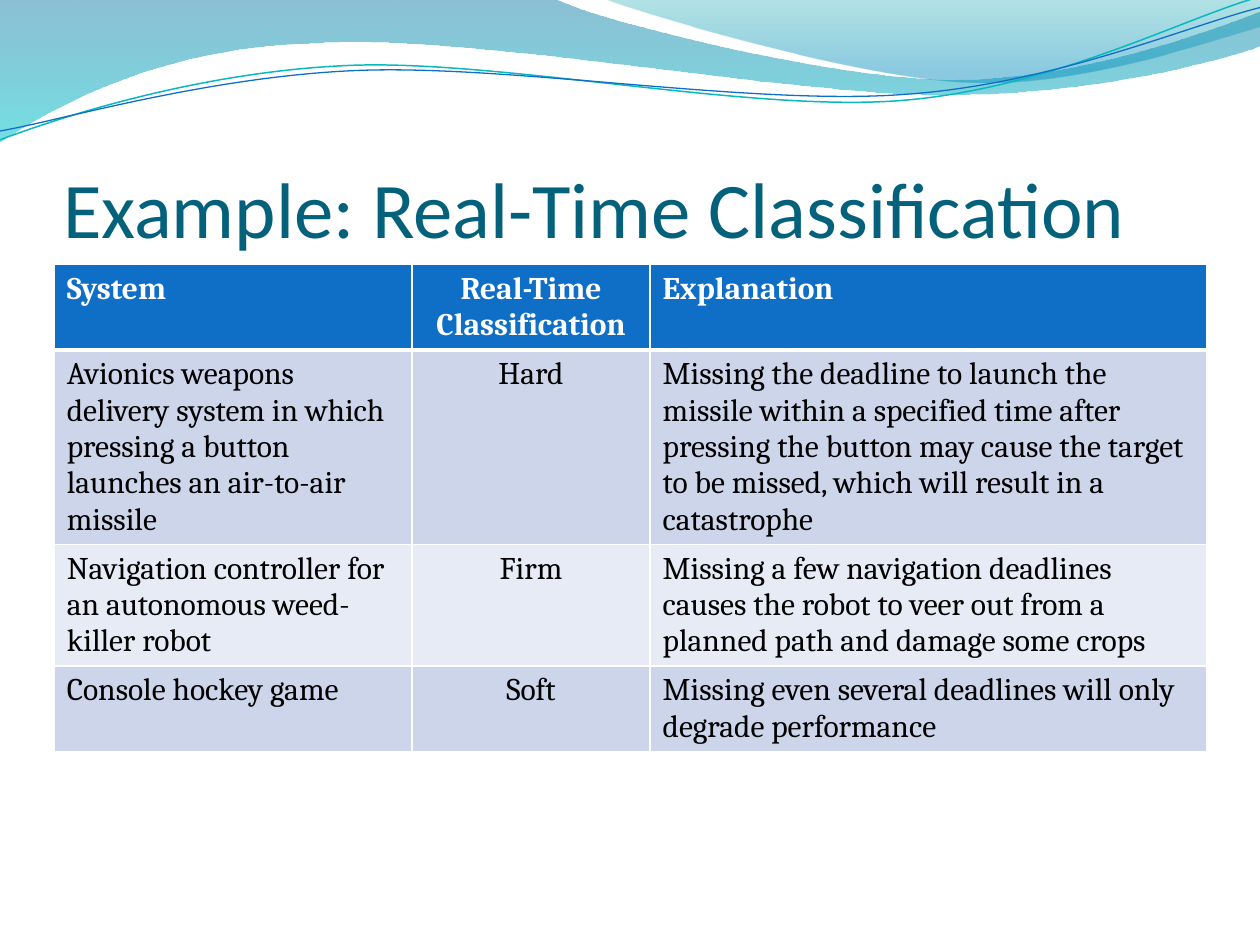
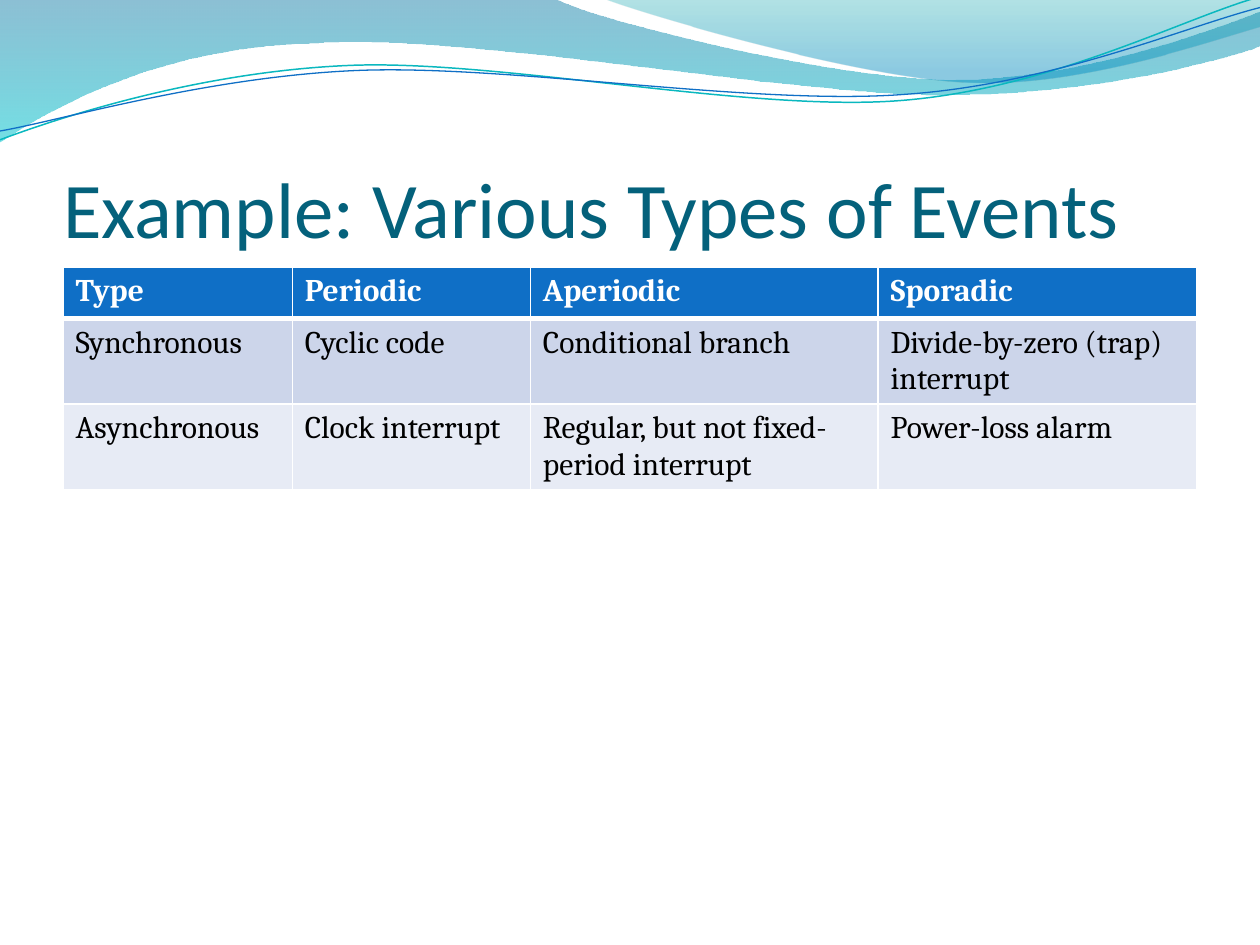
from lxml import etree
from pptx import Presentation
from pptx.dml.color import RGBColor
from pptx.enum.text import MSO_ANCHOR, MSO_AUTO_SIZE, PP_ALIGN
from pptx.oxml.ns import qn
from pptx.util import Inches, Pt

LEFT, CENTER = PP_ALIGN.LEFT, PP_ALIGN.CENTER
BOTTOM = MSO_ANCHOR.BOTTOM
NO_AUTOFIT = MSO_AUTO_SIZE.NONE

TITLE_FONT, TABLE_FONT = "Calibri", "Cambria"
TITLE_COLOR = "04617B"
BLUE, TEAL, WHITE, BLACK = "0F6FC6", "0AB8BF", "FFFFFF", "000000"
BAND_COLORS = ("CCD5EA", "E7EBF5")
TITLE_BOX = (0.5, 0.77, 9, 1.25)
ROW_HEIGHT = 0.41

WAVE_BANDS = [
    {
        "segments": [
            (0, 0), (4.4, -0.01),
            (4.76, 0.17, 6.64, 0.63, 7.58, 0.63),
            (8.53, 0.63, 9.58, 0.26, 10, 0.09),
            (10.01, 0.36),
            (9.83, 0.44, 8.7, 0.76, 7.46, 0.75),
            (6.22, 0.75, 3.82, 0.28, 2.57, 0.34),
            (1.29, 0.36, 0.46, 0.83, -0.01, 1.13),
        ],
        "stops": [(0, "0074A1", 45), (1, "00C6CF", 55)],
    },
    {
        "segments": [
            (4.79, -0.01),
            (5.09, 0.11, 6.82, 0.62, 7.69, 0.65),
            (8.56, 0.69, 9.61, 0.32, 10, 0.21),
            (10, 0),
        ],
        "stops": [(0, "00A1A9", 30), (0.8, "008BBF", 45)],
    },
]
WAVE_LINES = [
    {
        "segments": [
            (0, 1.11),
            (0.48, 0.93, 1.58, 0.57, 2.77, 0.52),
            (3.95, 0.47, 5.93, 0.89, 7.13, 0.8),
            (8.33, 0.71, 9.38, 0.15, 9.98, -0.02),
        ],
        "color": TEAL, "width": 0.85,
    },
    {
        "segments": [
            (0, 1.04),
            (0.47, 0.96, 1.64, 0.61, 2.83, 0.56),
            (4.03, 0.51, 5.97, 0.84, 7.17, 0.75),
            (8.36, 0.67, 9.41, 0.21, 10, 0.06),
        ],
        "color": BLUE, "width": 0.75,
    },
]

SLIDES = [
    {
        "title": "Example: Real-Time Classification",
        "box": (0.43, 2.1, 9.15, 4),
        "widths": [2.84, 1.89, 4.42],
        "centered": {1},
        "rows": [
            ("System", "Real-Time Classification", "Explanation"),
            ("Avionics weapons delivery system in which pressing a button "
             "launches an air-to-air missile",
             "Hard",
             "Missing the deadline to launch the missile within a specified "
             "time after pressing the button may cause the target to be "
             "missed, which will result in a catastrophe"),
            ("Navigation controller for an autonomous weed-killer robot",
             "Firm",
             "Missing a few navigation deadlines causes the robot to veer "
             "out from a planned path and damage some crops"),
            ("Console hockey game",
             "Soft",
             "Missing even several deadlines will only degrade performance"),
        ],
    },
    {
        "title": "Example: Various Types of Events",
        "box": (0.5, 2.12, 9, 1.81),
        "widths": [1.82, 1.89, 2.76, 2.53],
        "centered": set(),
        "rows": [
            ("Type", "Periodic", "Aperiodic", "Sporadic"),
            ("Synchronous", "Cyclic code", "Conditional branch",
             "Divide-by-zero (trap) interrupt"),
            ("Asynchronous", "Clock interrupt",
             "Regular, but not fixed-period interrupt", "Power-loss alarm"),
        ],
    },
]


def rgb(color):
    return RGBColor.from_string(color)


def bend_curves(shape, segments):
    lines = iter(list(shape.element.iter(qn("a:lnTo"))))
    for segment in segments[1:]:
        first = next(lines)
        if len(segment) == 2:
            continue
        curve = etree.Element(qn("a:cubicBezTo"))
        first.addprevious(curve)
        for line in (first, next(lines), next(lines)):
            curve.append(line[0])
            line.getparent().remove(line)


def add_outline(page, segments, close):
    start, *others = [
        (Inches(x), Inches(y))
        for segment in segments
        for x, y in zip(segment[::2], segment[1::2])
    ]
    builder = page.shapes.build_freeform(*start)
    builder.add_line_segments(others, close=close)
    shape = builder.convert_to_shape()
    shape.shadow.inherit = False
    bend_curves(shape, segments)
    return shape


def add_wave_band(page, segments, stops):
    shape = add_outline(page, segments, True)
    shape.line.fill.background()
    shape.fill.gradient()
    shape.fill.gradient_angle = 270
    for stop, (position, color, _) in zip(shape.fill.gradient_stops, stops):
        stop.position = position
        stop.color.rgb = rgb(color)
    for tint, (_, _, opacity) in zip(shape.element.iter(qn("a:srgbClr")), stops):
        etree.SubElement(tint, qn("a:alpha"), val=str(opacity * 1000))
    return shape


def add_wave_line(page, segments, color, width):
    shape = add_outline(page, segments, False)
    shape.fill.background()
    shape.line.color.rgb = rgb(color)
    shape.line.width = Pt(width)
    return shape


def add_waves_to_master(deck, page):
    waves = [add_wave_band(page, **band) for band in WAVE_BANDS]
    waves += [add_wave_line(page, **line) for line in WAVE_LINES]
    for wave in waves:
        deck.slide_master.shapes.element.append(wave.element)


def format_title(page, title, box):
    holder = page.shapes.title
    holder.left, holder.top, holder.width, holder.height = map(Inches, box)
    frame = holder.text_frame
    frame.text = title
    frame.auto_size = NO_AUTOFIT
    frame.word_wrap = True
    frame.vertical_anchor = BOTTOM
    frame.margin_left = frame.margin_right = frame.margin_bottom = 0
    frame.margin_top = Inches(0.05)
    para = frame.paragraphs[0]
    para.alignment = LEFT
    font = para.runs[0].font
    font.name, font.size, font.color.rgb = TITLE_FONT, Pt(45), rgb(TITLE_COLOR)


def set_borders(cell, top, bottom):
    properties = cell._tc.get_or_add_tcPr()
    sides = [("a:lnL", 1), ("a:lnR", 1), ("a:lnT", top), ("a:lnB", bottom)]
    for index, (side, width) in enumerate(sides):
        border = etree.Element(qn(side), w=str(Pt(width)))
        fill = etree.SubElement(border, qn("a:solidFill"))
        etree.SubElement(fill, qn("a:srgbClr"), val=WHITE)
        properties.insert(index, border)


def format_cell(cell, text, row_index, alignment):
    header = row_index == 0
    cell.text = text
    cell.fill.solid()
    cell.fill.fore_color.rgb = rgb(BLUE if header else BAND_COLORS[(row_index - 1) % 2])
    set_borders(cell, 3 if row_index == 1 else 1, 3 if header else 1)
    para = cell.text_frame.paragraphs[0]
    para.alignment = alignment
    font = para.runs[0].font
    font.name, font.size, font.bold = TABLE_FONT, Pt(18), header
    font.color.rgb = rgb(WHITE if header else BLACK)


def add_grid(page, box, widths, rows, centered):
    frame = page.shapes.add_table(len(rows), len(widths), *map(Inches, box))
    table = frame.table
    for column, width in zip(table.columns, widths):
        column.width = Inches(width)
    for row_index, (row, texts) in enumerate(zip(table.rows, rows)):
        row.height = Inches(ROW_HEIGHT)
        for column_index, text in enumerate(texts):
            alignment = CENTER if column_index in centered else LEFT
            format_cell(row.cells[column_index], text, row_index, alignment)
    frame.width, frame.height = Inches(box[2]), Inches(box[3])


def add_table_slide(deck, title, box, widths, rows, centered):
    page = deck.slides.add_slide(deck.slide_layouts.get_by_name("Title Only"))
    format_title(page, title, TITLE_BOX)
    add_grid(page, box, widths, rows, centered)
    return page


def main():
    deck = Presentation()
    deck.slide_width, deck.slide_height = Inches(10), Inches(7.5)
    pages = [add_table_slide(deck, **content) for content in SLIDES]
    add_waves_to_master(deck, pages[0])
    deck.save("out.pptx")


if __name__ == "__main__":
    main()
